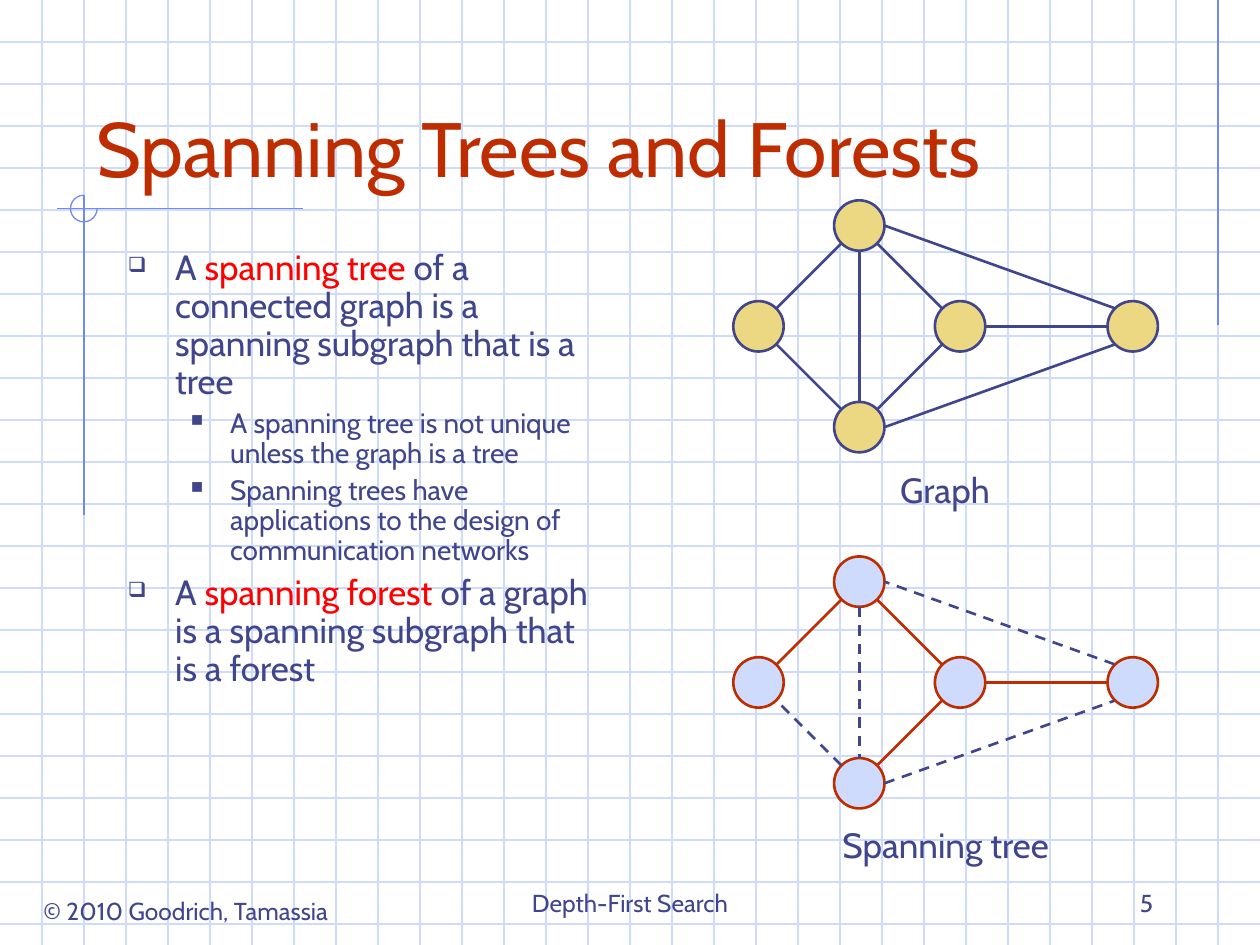
from lxml.etree import SubElement as Sub
from pptx import Presentation
from pptx.dml.color import RGBColor as RGB
from pptx.enum.dml import MSO_LINE as Dash
from pptx.enum.shapes import MSO_CONNECTOR as Link, MSO_SHAPE as Geom
from pptx.enum.text import MSO_ANCHOR as Anchor, PP_ALIGN as Align
from pptx.oxml.ns import qn
from pptx.util import Pt

HUES = {
    "grid": "CFDBFD",
    "rule": "6F89F7",
    "ink": "40458C",
    "rust": "BE2D00",
    "red": "FF0000",
    "gold": "ECD882",
}
WIDE, HIGH, CELL = 720, 540, 24
RAD, DIAG = 14.4, 10.4
SIDES = {
    "n": (0, -RAD), "s": (0, RAD), "w": (-RAD, 0), "e": (RAD, 0),
    "nw": (-DIAG, -DIAG), "ne": (DIAG, -DIAG),
    "sw": (-DIAG, DIAG), "se": (DIAG, DIAG),
}
NODES = {
    "mid": (548.64, 0),
    "left": (433.44, 0),
    "top": (491.04, -57.6),
    "low": (491.04, 57.6),
    "right": (647.28, 0),
}
EDGES = [
    ("top", "sw", "left", "ne", True),
    ("low", "nw", "left", "se", False),
    ("low", "ne", "mid", "sw", True),
    ("top", "se", "mid", "nw", True),
    ("top", "s", "low", "n", False),
    ("mid", "e", "right", "w", True),
    ("low", "e", "right", "sw", False),
    ("right", "nw", "top", "e", False),
]
LEVELS = [("❑", 27, -27, 20, 5), ("■", 58.5, -22.5, 16, 4)]
BODY = [
    (0, [("A ", "ink"), ("spanning tree ", "red"),
         ("of a connected graph is a spanning subgraph that is a tree", "ink")]),
    (1, [("A spanning tree is not unique unless the graph is a tree", "ink")]),
    (1, [("Spanning trees have applications to the design of "
          "communication networks", "ink")]),
    (0, [("A ", "ink"), ("spanning forest ", "red"),
         ("of a graph is a spanning subgraph that is a forest", "ink")]),
]


def tint(hue):
    return RGB.from_string(HUES[hue])


class Board:
    def __init__(self, slide, font):
        self.items = slide.shapes
        self.font = font

    def line(self, start, end, hue, width=0.75, dash=False):
        link = self.items.add_connector(
            Link.STRAIGHT, *(Pt(v) for v in (*start, *end)))
        link.line.color.rgb = tint(hue)
        link.line.width = Pt(width)
        if dash:
            link.line.dash_style = Dash.DASH
        Sub(link._element.spPr, qn("a:effectLst"))

    def shape(self, geom, box, hue, width, fill=None):
        item = self.items.add_shape(geom, *(Pt(v) for v in box))
        item.shadow.inherit = False
        item.line.color.rgb = tint(hue)
        item.line.width = Pt(width)
        if fill:
            item.fill.solid()
            item.fill.fore_color.rgb = tint(fill)
        else:
            item.fill.background()
        return item

    def frame(self, box, anchor=Anchor.TOP, wrap=True):
        frame = self.items.add_textbox(*(Pt(v) for v in box)).text_frame
        frame.word_wrap = wrap
        frame.vertical_anchor = anchor
        return frame

    def run(self, para, text, size, hue):
        run = para.add_run()
        run.text = text
        run.font.name = self.font
        run.font.size = Pt(size)
        run.font.color.rgb = tint(hue)

    def label(self, box, text, size, align=Align.CENTER, hue="ink",
              anchor=Anchor.TOP, wrap=True):
        para = self.frame(box, anchor, wrap).paragraphs[0]
        para.alignment = align
        self.run(para, text, size, hue)

    def bullet(self, para, mark, left, hang):
        props = para._p.get_or_add_pPr()
        props.set("marL", str(Pt(left)))
        props.set("indent", str(Pt(hang)))
        Sub(Sub(props, qn("a:buClr")), qn("a:srgbClr"), val=HUES["ink"])
        Sub(props, qn("a:buSzPct"), val="60000")
        Sub(props, qn("a:buChar"), char=mark)

    def list(self, box, rows):
        frame = self.frame(box)
        for i, (level, runs) in enumerate(rows):
            para = frame.add_paragraph() if i else frame.paragraphs[0]
            mark, left, hang, size, gap = LEVELS[level]
            para.level = level
            self.bullet(para, mark, left, hang)
            para.line_spacing = 0.9
            para.space_before = Pt(gap if i else 0)
            for text, hue in runs:
                self.run(para, text, size, hue)

    def graph(self, mid, fill, rim, tree):
        for x, y in NODES.values():
            box = (x - RAD, mid + y - RAD, 2 * RAD, 2 * RAD)
            self.shape(Geom.OVAL, box, rim, 1.5, fill)
        for one, out, two, into, kept in EDGES:
            ends = [
                (NODES[node][0] + SIDES[side][0],
                 mid + NODES[node][1] + SIDES[side][1])
                for node, side in ((one, out), (two, into))
            ]
            hue = rim if kept else "ink"
            self.line(*ends, hue, 1.5, tree and not kept)

    def grid(self):
        for y in range(CELL, HIGH, CELL):
            self.line((0, y), (WIDE, y), "grid")
        for x in range(CELL, WIDE, CELL):
            self.line((x, 0), (x, HIGH), "grid")

    def trim(self):
        self.line((696, 0), (696, 186), "rule")
        self.line((173, 119.2), (32.4, 119.2), "rule")
        self.line((48, 111.6), (48, 294.5), "rule")
        arc = self.shape(Geom.ARC, (40.3, 111.6, 15.2, 15.2), "rule", 0.75)
        arc.adjustments[0] = 0
        arc.adjustments[1] = 162


def main():
    deck = Presentation()
    deck.slide_width, deck.slide_height = Pt(WIDE), Pt(HIGH)
    board = Board(deck.slides.add_slide(deck.slide_layouts[6]), "Cabin")
    board.grid()
    board.trim()
    board.label((8.6, 508.3, 195.1, 24.5), "© 2010 Goodrich, Tamassia", 14,
                wrap=False)
    board.label((246, 492, 228, 36), "Depth-First Search", 14,
                anchor=Anchor.BOTTOM)
    board.label((516, 492, 150, 36), "5", 14, Align.RIGHT,
                anchor=Anchor.BOTTOM)
    board.label((48, 24, 612, 90), "Spanning Trees and Forests", 44,
                Align.LEFT, "rust", Anchor.BOTTOM)
    board.list((66, 139.7, 282, 334), BODY)
    board.label((427.7, 264.2, 224.6, 31.5), "Graph", 20)
    board.label((396.7, 467.3, 287.3, 31.5), "Spanning tree", 20)
    board.graph(186.5, "gold", "ink", False)
    board.graph(390, "grid", "rust", True)
    deck.save("out.pptx")


if __name__ == "__main__":
    main()
